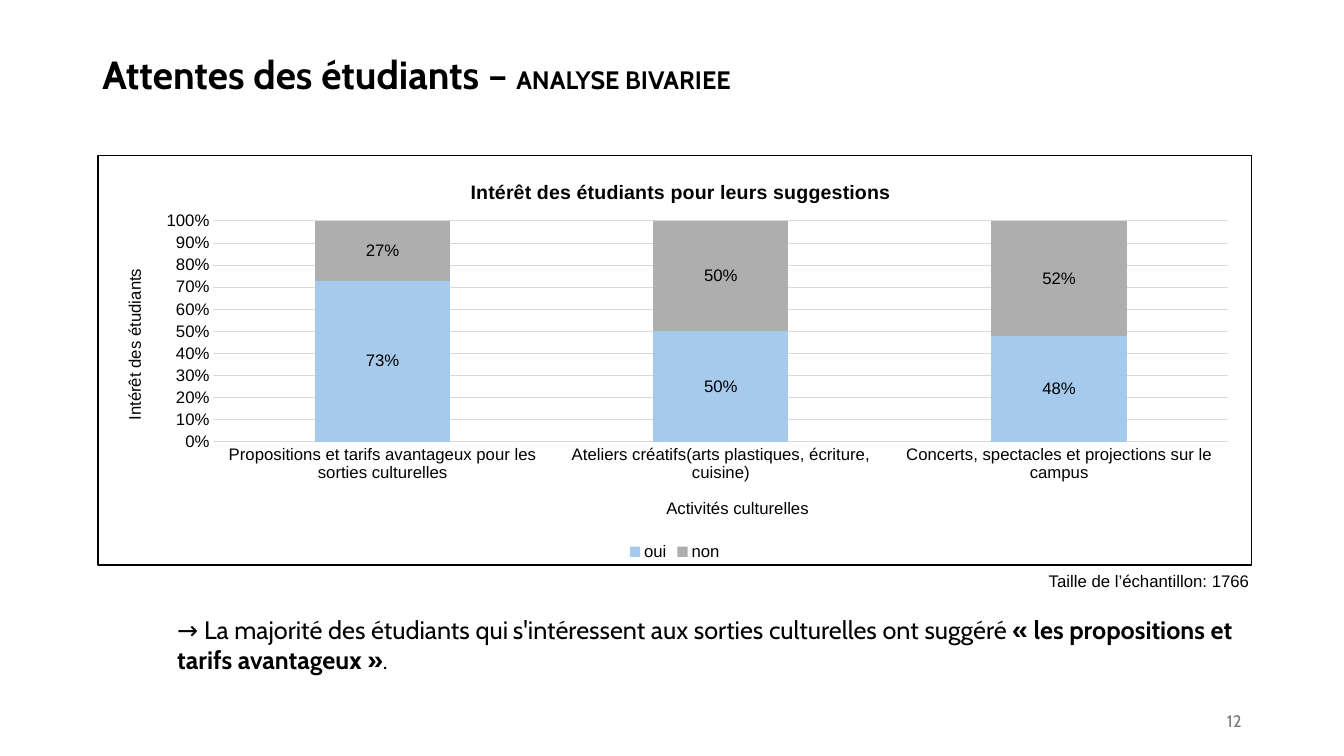
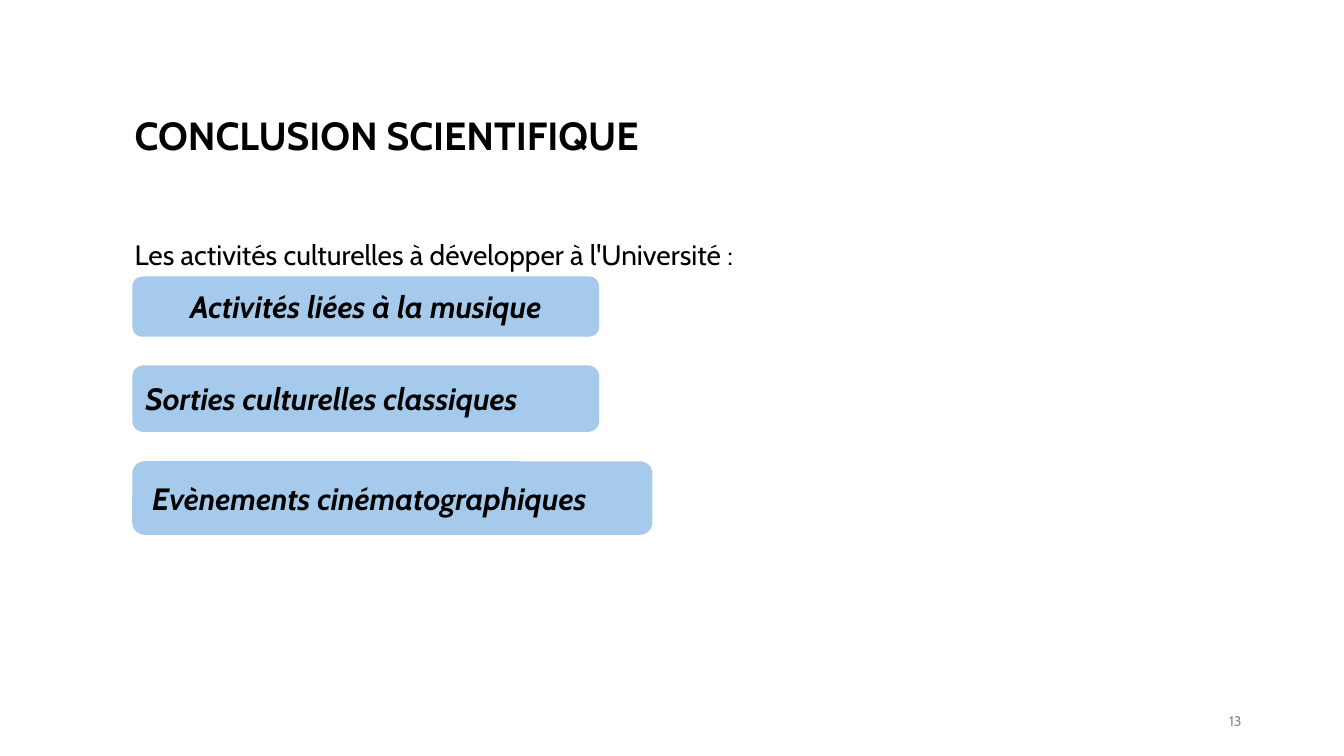
from lxml import etree
from pptx import Presentation
from pptx.chart.data import CategoryChartData
from pptx.dml.color import RGBColor
from pptx.enum.chart import XL_CHART_TYPE, XL_LABEL_POSITION, XL_LEGEND_POSITION, XL_TICK_MARK
from pptx.enum.shapes import MSO_SHAPE
from pptx.enum.text import MSO_ANCHOR, MSO_AUTO_SIZE, PP_ALIGN
from pptx.oxml import parse_xml
from pptx.oxml.ns import nsdecls, qn
from pptx.util import Pt

BLACK, BLUE, GRAY, GRID = "000000", "A6CAEC", "AEAEAE", "D9D9D9"
FONT, CHART_FONT = "Cabin", "Arial"
rgb = RGBColor.from_string


def write(p, text, size=18, color=BLACK, bold=False, italic=False, font=FONT):
    r = p.add_run()
    r.text = text
    r.font.name, r.font.size = font, Pt(size)
    r.font.bold, r.font.italic = bold, italic
    r.font.color.rgb = rgb(color)


def place(element, index, **fractions):
    """Position a chart part by fractions of the chart area."""
    for old in element.findall(qn("c:layout")):
        element.remove(old)
    layout = parse_xml(f"<c:layout {nsdecls('c')}><c:manualLayout/></c:layout>")
    settings = {"xMode": "edge", "yMode": "edge", **fractions}
    if "w" in fractions:
        settings = {"layoutTarget": "inner", **settings}
    for name, value in settings.items():
        etree.SubElement(layout[0], qn(f"c:{name}")).set("val", str(value))
    element.insert(index, layout)


prs = Presentation()
prs.slide_width, prs.slide_height = Pt(960), Pt(540)

# Slides with their titles and page numbers
titles = [
    (5, (66, 29, 828, 52), [("Attentes des étudiants – ", 28), ("ANALYSE BIVARIEE", 18)], 12, "797979"),
    (1, (89, 48, 673, 101), [("CONCLUSION SCIENTIFIQUE", 28)], 10, "8C8C8C"),
]
for number, (layout, box, runs, number_size, number_color) in enumerate(titles, 12):
    s = prs.slides.add_slide(prs.slide_layouts[layout])
    sp = s.shapes.title
    sp.left, sp.top, sp.width, sp.height = map(Pt, box)
    tf = sp.text_frame
    tf.auto_size, tf.vertical_anchor = MSO_AUTO_SIZE.NONE, MSO_ANCHOR.MIDDLE
    p = tf.paragraphs[0]
    p.alignment, p.line_spacing = PP_ALIGN.LEFT, 0.9
    for text, size in runs:
        write(p, text, size=size, bold=True)

    tf = s.shapes.add_textbox(Pt(678), Pt(500.5), Pt(216), Pt(28.8)).text_frame
    tf.word_wrap, tf.vertical_anchor = True, MSO_ANCHOR.MIDDLE
    p = tf.paragraphs[0]
    p.alignment = PP_ALIGN.RIGHT
    write(p, str(number), size=number_size, color=number_color)

expectations, conclusion = prs.slides

# Chart of student interest
data = CategoryChartData(number_format="0%")
data.categories = [
    "Propositions et tarifs avantageux pour les sorties culturelles",
    "Ateliers créatifs(arts plastiques, écriture, cuisine)",
    "Concerts, spectacles et projections sur le campus",
]
data.add_series("oui", [0.73, 0.5, 0.48])
data.add_series("non", [0.27, 0.5, 0.52])
chart = expectations.shapes.add_chart(
    XL_CHART_TYPE.COLUMN_STACKED_100, Pt(69.5), Pt(110.5), Pt(825), Pt(293.5), data).chart
chart.font.name, chart.font.size = CHART_FONT, Pt(12)
chart.font.color.rgb = rgb(BLACK)
chart.has_legend = True
chart.legend.position = XL_LEGEND_POSITION.BOTTOM
chart.legend.include_in_layout = False

plot = chart.plots[0]
plot.gap_width, plot.overlap, plot.vary_by_categories = 150, 100, False
for series, color in zip(plot.series, (BLUE, GRAY)):
    series.format.fill.solid()
    series.format.fill.fore_color.rgb = rgb(color)
    labels = series.data_labels
    labels.show_value, labels.position = True, XL_LABEL_POSITION.CENTER
    labels.number_format, labels.number_format_is_linked = "0%", False
    labels.font.name, labels.font.size = CHART_FONT, Pt(12)
    labels.font.color.rgb = rgb(BLACK)

# Axes
cat_axis, val_axis = chart.category_axis, chart.value_axis
for axis in (cat_axis, val_axis):
    axis.major_tick_mark = axis.minor_tick_mark = XL_TICK_MARK.NONE
val_axis.maximum_scale, val_axis.minimum_scale, val_axis.major_unit = 1, 0, 0.1
val_axis.tick_labels.number_format = "0%"
val_axis.tick_labels.number_format_is_linked = False
val_axis.format.line.fill.background()
for line in (cat_axis.format.line, val_axis.major_gridlines.format.line):
    line.color.rgb, line.width = rgb(GRID), Pt(0.75)

# Chart and axis titles
for title, text, size, x, y in [
    (chart.chart_title, "Intérêt des étudiants pour leurs suggestions", 14, 0.32, 0.05),
    (cat_axis.axis_title, "Activités culturelles", 12, 0.49, 0.83),
    (val_axis.axis_title, "Intérêt des étudiants", 12, 0.02, 0.27),
]:
    write(title.text_frame.paragraphs[0], text, size=size, bold=size > 12, font=CHART_FONT)
    place(title.element, 1, x=x, y=y)
body = val_axis.axis_title.element.find(f".//{qn('a:bodyPr')}")
body.set("rot", "-5400000")
body.set("vert", "horz")

# Plot position and chart border
chart_part = chart.element.find(qn("c:chart"))
place(chart_part.find(qn("c:plotArea")), 0, x=0.1, y=0.16, w=0.88, h=0.54)
chart_part.addnext(parse_xml(
    f'<c:spPr {nsdecls("c", "a")}><a:noFill/><a:ln w="{Pt(1.25)}"><a:solidFill>'
    f'<a:srgbClr val="{BLACK}"/></a:solidFill></a:ln></c:spPr>'))

# Sample size and finding
for box, runs in [
    ((742, 404, 172, 22), [("Taille de l’échantillon: 1766", dict(size=12, font=CHART_FONT))]),
    ((119.5, 435, 775, 51), [
        ("→ La majorité des étudiants qui", {}),
        (" ", dict(size=12, font=CHART_FONT)),
        ("s'intéressent aux sorties culturelles ont suggéré ", {}),
        ("« les propositions et tarifs avantageux »", dict(bold=True)),
        (".", {}),
    ]),
]:
    tf = expectations.shapes.add_textbox(*map(Pt, box)).text_frame
    tf.word_wrap = True
    for text, style in runs:
        write(tf.paragraphs[0], text, **style)

# Introduction to the conclusions
sp = conclusion.placeholders[1]
sp.left, sp.top, sp.width, sp.height = Pt(89), Pt(169), Pt(673), Pt(321)
tf = sp.text_frame
tf.auto_size = MSO_AUTO_SIZE.NONE
p = tf.paragraphs[0]
pPr = p._p.get_or_add_pPr()
pPr.set("marL", "0")
pPr.set("indent", "0")
etree.SubElement(pPr, qn("a:buNone"))
p.line_spacing, p.space_before = 0.9, Pt(0)
write(p, "Les activités culturelles à développer à l'Université :", size=20)

# Recommended activities
for text, top, width, height, align, indent in [
    ("Activités liées à la musique", 197.5, 333.5, 43, PP_ALIGN.CENTER, 0),
    ("Sorties culturelles classiques", 261, 333.5, 47.5, PP_ALIGN.LEFT, 0),
    ("Evènements cinématographiques", 329.5, 371.5, 52.5, PP_ALIGN.LEFT, 4.5),
]:
    sp = conclusion.shapes.add_shape(
        MSO_SHAPE.ROUNDED_RECTANGLE, Pt(94.5), Pt(top), Pt(width), Pt(height))
    sp.shadow.inherit = False
    sp.fill.solid()
    sp.fill.fore_color.rgb = rgb(BLUE)
    sp.line.fill.background()
    tf = sp.text_frame
    tf.vertical_anchor, tf.margin_left = MSO_ANCHOR.MIDDLE, Pt(7.2 + indent)
    p = tf.paragraphs[0]
    p.alignment = align
    write(p, text, size=22, bold=True, italic=True)

prs.save("out.pptx")
